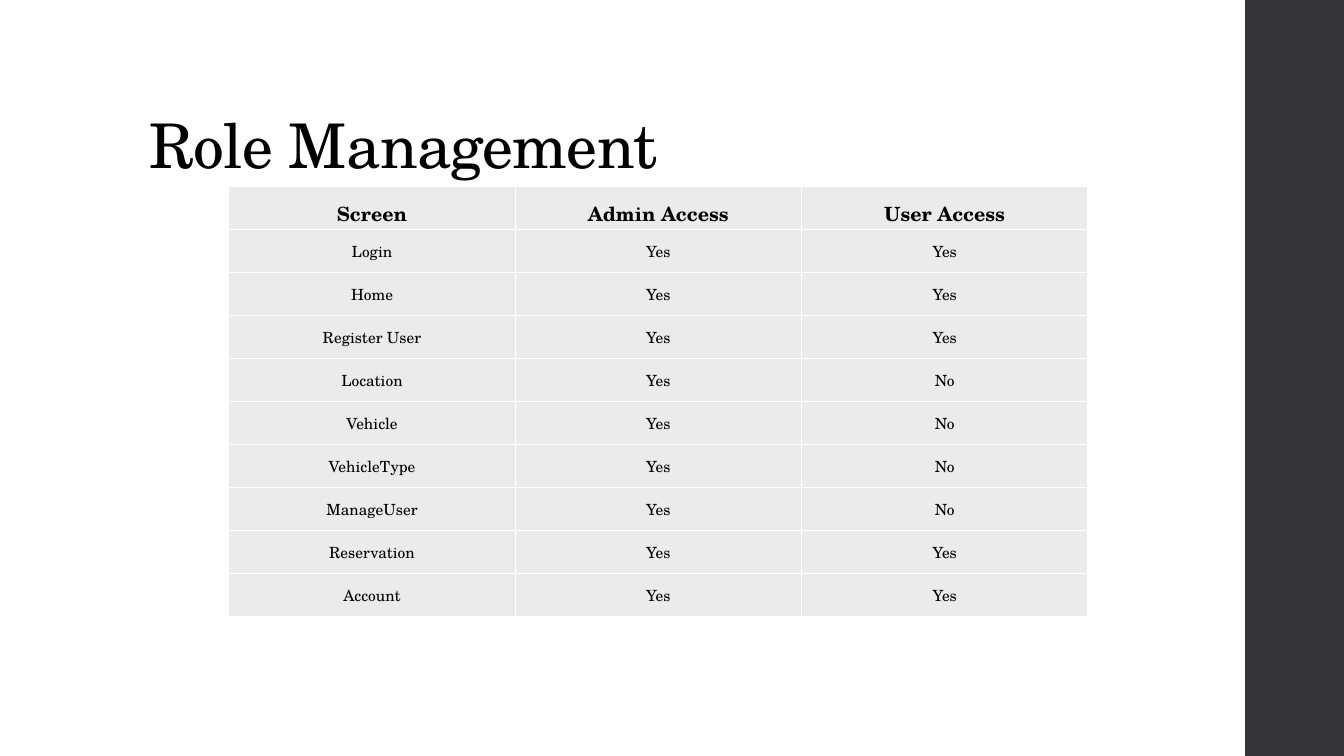
import pptx
import pptx.dml.color
import pptx.enum.shapes
import pptx.enum.text
import pptx.oxml
import pptx.oxml.ns
import pptx.util

BLACK = pptx.dml.color.RGBColor(0x00, 0x00, 0x00)
WHITE = pptx.dml.color.RGBColor(0xFF, 0xFF, 0xFF)
CHARCOAL = pptx.dml.color.RGBColor(0x35, 0x35, 0x37)
PALE_GREY = pptx.dml.color.RGBColor(0xEB, 0xEB, 0xEB)
FONT = "TeX Gyre Schola"

ACCESS = [
    ("Screen", "Admin Access", "User Access"),
    ("Login", "Yes", "Yes"),
    ("Home", "Yes", "Yes"),
    ("Register User", "Yes", "Yes"),
    ("Location", "Yes", "No"),
    ("Vehicle", "Yes", "No"),
    ("VehicleType", "Yes", "No"),
    ("ManageUser", "Yes", "No"),
    ("Reservation", "Yes", "Yes"),
    ("Account", "Yes", "Yes"),
]
COLUMN_WIDTH = pptx.util.Inches(2.84)
ROW_HEIGHT = pptx.util.Inches(0.427)


def write(paragraph, text, line_spacing, size, bold=False):
    paragraph.line_spacing = line_spacing
    run = paragraph.add_run()
    run.text = text
    font_format = {"name": FONT, "size": pptx.util.Pt(size), "bold": bold}
    for attribute, value in font_format.items():
        setattr(run.font, attribute, value)
    run.font.color.rgb = BLACK
    return run


def add_borders(cell):
    properties = cell._tc.get_or_add_tcPr()
    for side in ("lnL", "lnR", "lnT", "lnB"):
        properties.append(pptx.oxml.parse_xml(
            f'<a:{side} {pptx.oxml.ns.nsdecls("a")} w="{pptx.util.Pt(1)}">'
            f'<a:solidFill><a:srgbClr val="{WHITE}"/></a:solidFill></a:{side}>'))


presentation = pptx.Presentation()
presentation.slide_width = pptx.util.Inches(13.33)
presentation.slide_height = pptx.util.Inches(7.5)
slide = presentation.slides.add_slide(presentation.slide_layouts[6])

side_band = slide.shapes.add_shape(
    pptx.enum.shapes.MSO_SHAPE.RECTANGLE,
    pptx.util.Inches(12.35), 0, pptx.util.Inches(1), presentation.slide_height)
side_band.shadow.inherit = False
side_band.fill.solid()
side_band.fill.fore_color.rgb = CHARCOAL
side_band.line.fill.background()

title = slide.shapes.add_textbox(
    pptx.util.Inches(1.38), pptx.util.Inches(0.4),
    pptx.util.Inches(10.6), pptx.util.Inches(1.45)).text_frame
title.word_wrap = True
title.vertical_anchor = pptx.enum.text.MSO_ANCHOR.BOTTOM
title_run = write(title.paragraphs[0], "Role Management", 0.9, 44)
title_run.font._element.set("spc", "-50")

access_table = slide.shapes.add_table(
    len(ACCESS), len(ACCESS[0]),
    pptx.util.Inches(2.27), pptx.util.Inches(1.85),
    COLUMN_WIDTH * len(ACCESS[0]), ROW_HEIGHT * len(ACCESS)).table

cell_format = dict.fromkeys(
    ("margin_left", "margin_right", "margin_top", "margin_bottom"),
    pptx.util.Inches(0.07))
for row, entries in enumerate(ACCESS):
    is_header = row == 0
    for column, entry in enumerate(entries):
        cell = access_table.cell(row, column)
        for attribute, value in cell_format.items():
            setattr(cell, attribute, value)
        add_borders(cell)
        cell.fill.solid()
        cell.fill.fore_color.rgb = PALE_GREY
        paragraph = cell.text_frame.paragraphs[0]
        paragraph.alignment = pptx.enum.text.PP_ALIGN.CENTER
        write(paragraph, entry, 1.15, 14 if is_header else 11, is_header)

presentation.save("out.pptx")
